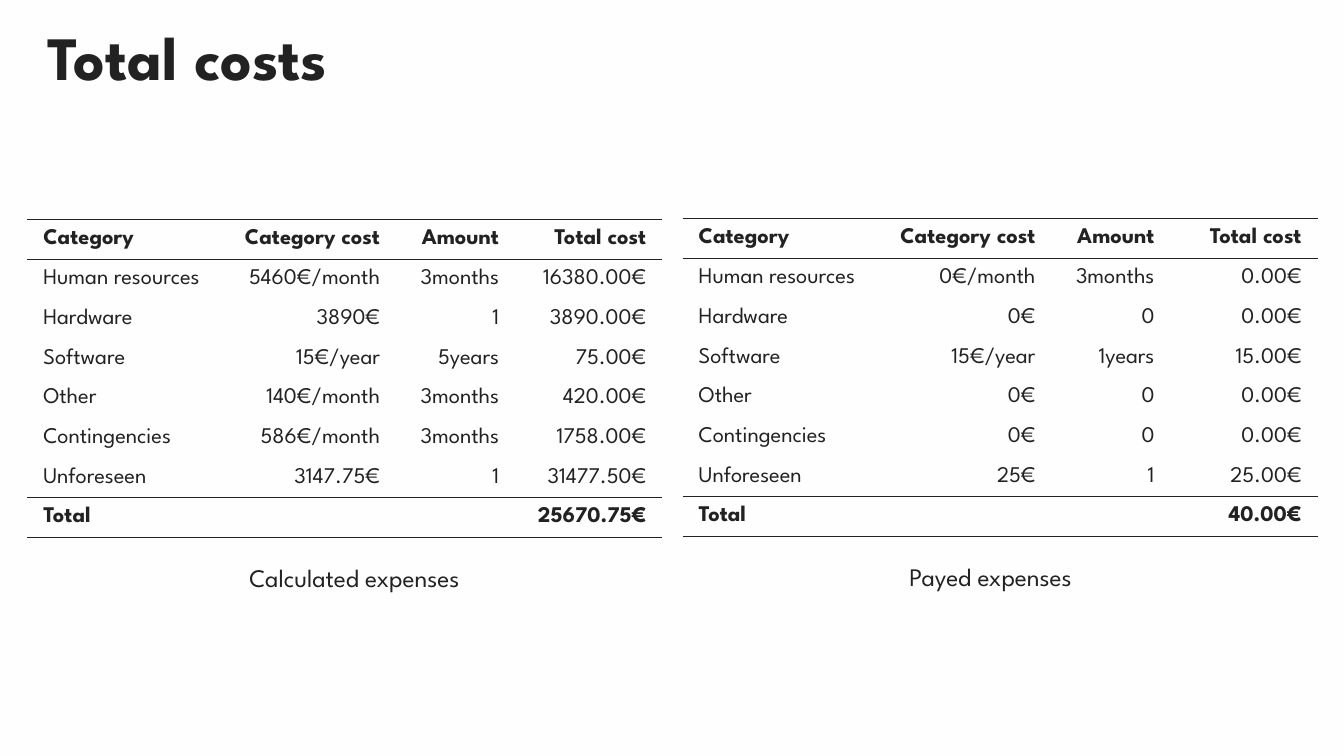
from lxml.etree import SubElement
from pptx import Presentation
from pptx.dml.color import RGBColor
from pptx.enum.text import MSO_ANCHOR, PP_ALIGN
from pptx.oxml.ns import qn
from pptx.util import Inches, Pt

FONT = "League Spartan"
INK = "222222"
PAPER = "FEFEFE"

TITLE = "Total costs"
HEADER = ("Category", "Category cost", "Amount", "Total cost")
CALCULATED = [
    HEADER,
    ("Human resources", "5460€/month", "3months", "16380.00€"),
    ("Hardware", "3890€", "1", "3890.00€"),
    ("Software", "15€/year", "5years", "75.00€"),
    ("Other", "140€/month", "3months", "420.00€"),
    ("Contingencies", "586€/month", "3months", "1758.00€"),
    ("Unforeseen", "3147.75€", "1", "31477.50€"),
    ("Total", "", "", "25670.75€"),
]
PAYED = [
    HEADER,
    ("Human resources", "0€/month", "3months", "0.00€"),
    ("Hardware", "0€", "0", "0.00€"),
    ("Software", "15€/year", "1years", "15.00€"),
    ("Other", "0€", "0", "0.00€"),
    ("Contingencies", "0€", "0", "0.00€"),
    ("Unforeseen", "25€", "1", "25.00€"),
    ("Total", "", "", "40.00€"),
]
# rows, table left and top, caption, caption left and top
EXPENSES = [
    (CALCULATED, 0.27, 2.18, "Calculated expenses", 0.37, 5.53),
    (PAYED, 6.77, 2.17, "Payed expenses", 6.68, 5.52),
]
COLUMN_WIDTHS = (1.97, 1.57, 1.18, 1.58)
TABLE_HEIGHT = 3.15
OUTER_MARGIN, INNER_MARGIN = 0.16, 0.04


def color(hex_string):
    return RGBColor.from_string(hex_string)


def write(frame, text, size, bold=False, align=PP_ALIGN.LEFT):
    frame.text = text
    para = frame.paragraphs[0]
    para.alignment = align
    for span in para.runs:
        span.font.name = FONT
        span.font.size = Pt(size)
        span.font.bold = bold
        span.font.color.rgb = color(INK)


def set_borders(cell, top, bottom):
    """Draw the chosen horizontal edges and clear every other edge."""
    properties = cell._tc.get_or_add_tcPr()
    for tag, visible in (("a:lnL", False), ("a:lnR", False), ("a:lnT", top), ("a:lnB", bottom)):
        line = SubElement(properties, qn(tag), w=str(Pt(1)))
        if visible:
            fill = SubElement(line, qn("a:solidFill"))
            SubElement(fill, qn("a:srgbClr"), val=INK)
        else:
            SubElement(line, qn("a:noFill"))


def add_cost_table(page, rows, left, top):
    last_row, last_column = len(rows) - 1, len(HEADER) - 1
    ruled_edges = {0, 1, last_row, last_row + 1}
    table = page.shapes.add_table(
        len(rows), len(HEADER), Inches(left), Inches(top),
        Inches(sum(COLUMN_WIDTHS)), Inches(TABLE_HEIGHT)).table
    table.first_row = table.horz_banding = False
    for column, width in zip(table.columns, COLUMN_WIDTHS):
        column.width = Inches(width)
    for r, values in enumerate(rows):
        for c, value in enumerate(values):
            cell = table.cell(r, c)
            cell.vertical_anchor = MSO_ANCHOR.MIDDLE
            cell.margin_left = Inches(OUTER_MARGIN if c == 0 else INNER_MARGIN)
            cell.margin_right = Inches(OUTER_MARGIN if c == last_column else INNER_MARGIN)
            cell.margin_top = cell.margin_bottom = Inches(INNER_MARGIN)
            write(cell.text_frame, value, 16, r in (0, last_row),
                  PP_ALIGN.RIGHT if c else PP_ALIGN.LEFT)
            set_borders(cell, r in ruled_edges, r + 1 in ruled_edges)
            cell.fill.background()


def add_caption(page, text, left, top):
    box = page.shapes.add_textbox(Inches(left), Inches(top), Inches(6.29), Inches(0.4))
    box.text_frame.word_wrap = True
    write(box.text_frame, text, 18, align=PP_ALIGN.CENTER)


def main():
    deck = Presentation()
    deck.slide_width, deck.slide_height = Inches(13.33), Inches(7.5)
    page = deck.slides.add_slide(deck.slide_layouts[5])
    page.background.fill.solid()
    page.background.fill.fore_color.rgb = color(PAPER)

    title = page.shapes.title
    title.left, title.top = Inches(0.37), Inches(0.21)
    title.width, title.height = Inches(12.6), Inches(0.79)
    title.text_frame.vertical_anchor = MSO_ANCHOR.MIDDLE
    write(title.text_frame, TITLE, 44, bold=True)
    title.text_frame.paragraphs[0].line_spacing = 0.9

    for rows, left, top, caption, caption_left, caption_top in EXPENSES:
        add_cost_table(page, rows, left, top)
        add_caption(page, caption, caption_left, caption_top)

    deck.save("out.pptx")


if __name__ == "__main__":
    main()
